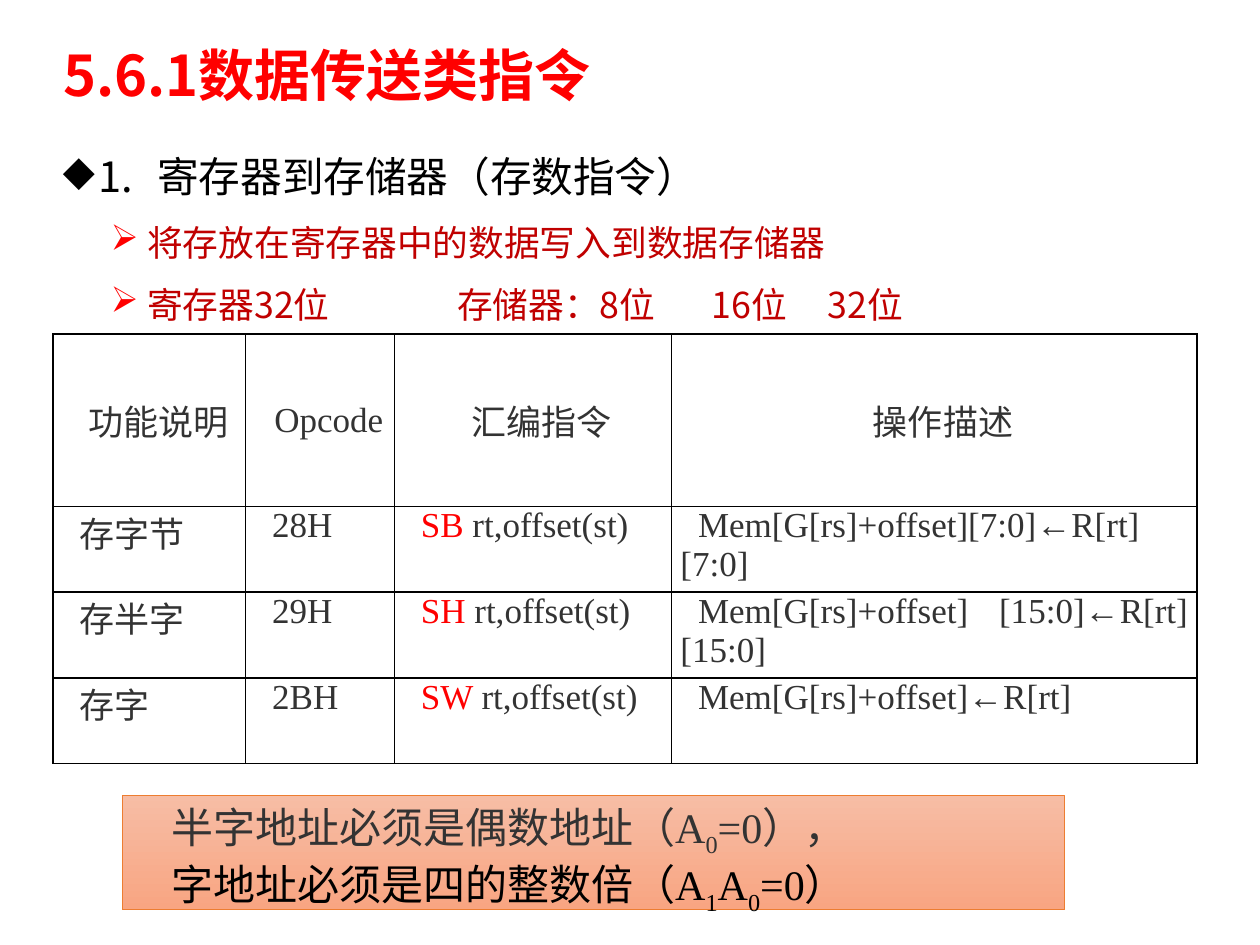
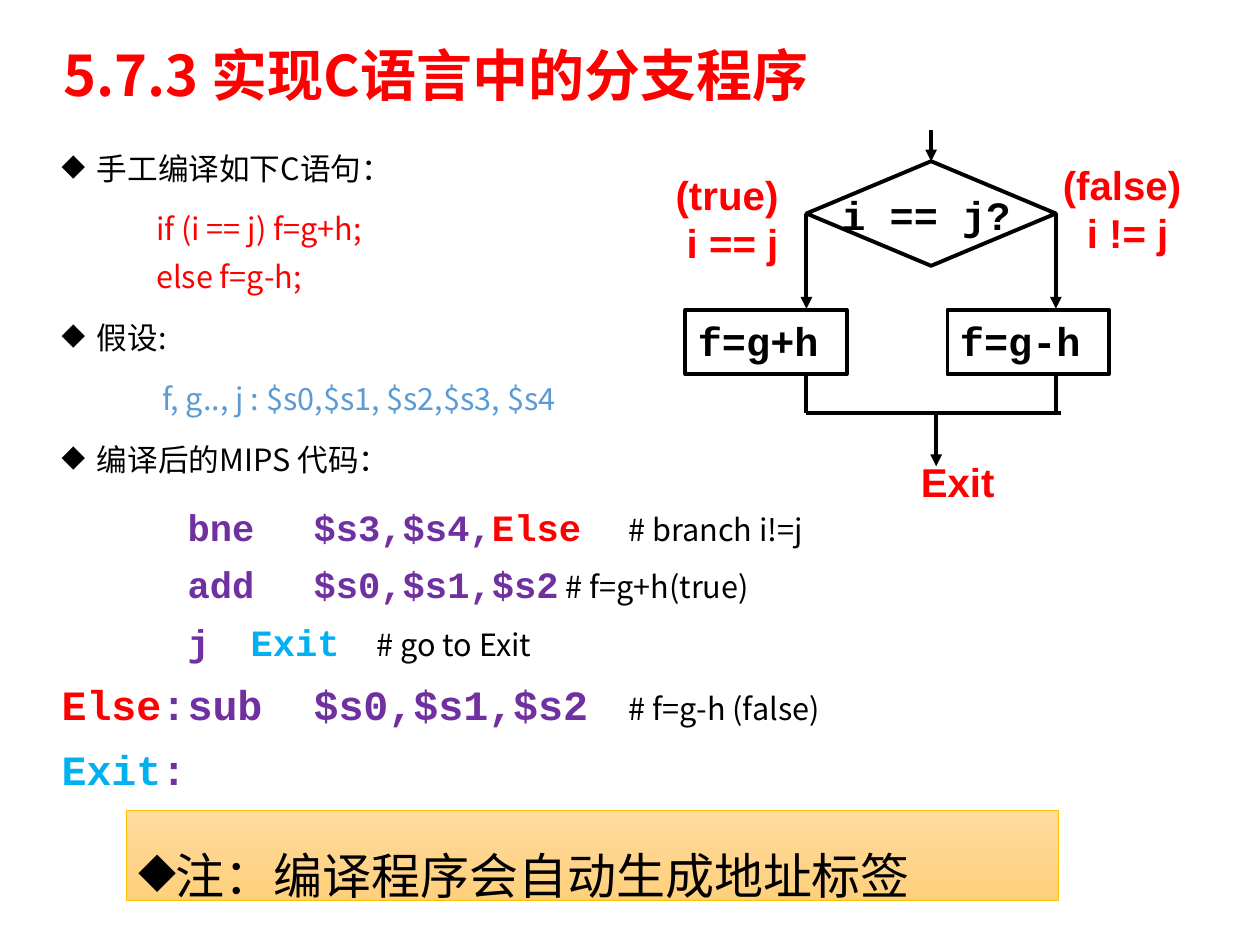
from lxml import etree
from pptx import Presentation
from pptx.dml.color import RGBColor
from pptx.enum import shapes, text
from pptx.oxml import ns
from pptx.util import Inches, Pt

SANS, MONO, SERIF, LABEL = "Noto Sans CJK SC", "Courier New", "Times New Roman", "Arial"
RED, BLACK, GRAY = "FF0000", "000000", "333333"
DARK_RED, PURPLE, CYAN, BLUE = "C00000", "7030A0", "00B0F0", "5B9BD5"
LEFT, CENTER, JUSTIFY = text.PP_ALIGN.LEFT, text.PP_ALIGN.CENTER, text.PP_ALIGN.JUSTIFY
TOP, MIDDLE = text.MSO_ANCHOR.TOP, text.MSO_ANCHOR.MIDDLE
RECT, DIAMOND = shapes.MSO_SHAPE.RECTANGLE, shapes.MSO_SHAPE.FLOWCHART_DECISION


def rgb(value):
    return RGBColor.from_string(value)


def sub(parent, tag, **attrs):
    node = etree.SubElement(parent, ns.qn(tag))
    for name, value in attrs.items():
        node.set(name, str(value))
    return node


def write(p, content, size=20, color=BLACK, font=SANS, bold=False, base=0):
    r = p.add_run()
    r.text = content
    r.font.size, r.font.bold, r.font.name = Pt(size), bold, font
    r.font.color.rgb = rgb(color)
    rPr = r._r.get_or_add_rPr()
    sub(rPr, "a:ea", typeface=SANS if font == SERIF else font)
    if base:
        rPr.set("baseline", str(base * 1000))


def paragraph(tf, runs, align=LEFT, margin=0, indent=0, spacing=1.0, before=0,
              bullet=None, bullet_color=BLACK, tabs=()):
    first = tf.paragraphs[0]
    p = tf.add_paragraph() if first.runs else first
    pPr = p._p.get_or_add_pPr()
    pPr.set("marL", str(Inches(margin)))
    pPr.set("indent", str(Inches(indent)))
    if bullet:
        sub(sub(pPr, "a:buClr"), "a:srgbClr", val=bullet_color)
        sub(pPr, "a:buChar", char=bullet)
    else:
        sub(pPr, "a:buNone")
    if tabs:
        stops = sub(pPr, "a:tabLst")
        for stop in tabs:
            sub(stops, "a:tab", pos=Inches(stop), algn="l")
    p.alignment, p.line_spacing = align, spacing
    p.space_before = Pt(before if p._p is not first._p else 0)
    for content, style in runs:
        write(p, content, **style)


def add_title(prs, content):
    s = prs.slides.add_slide(prs.slide_layouts[5])
    sp = s.shapes.title
    sp.left, sp.top, sp.width, sp.height = map(Inches, (0.4, 0.28, 8.62, 0.68))
    tf = sp.text_frame
    tf.word_wrap, tf.vertical_anchor = True, MIDDLE
    tf.auto_size = text.MSO_AUTO_SIZE.NONE
    paragraph(tf, [(content, dict(size=32, color=RED, bold=True))], spacing=0.9)
    return s


def add_text(s, box, wrap=True):
    tf = s.shapes.add_textbox(*map(Inches, box)).text_frame
    tf.word_wrap = wrap
    return tf


def add_label(s, box, lines, color=RED, font=LABEL, align=LEFT):
    tf = add_text(s, box, wrap=False)
    for line in lines:
        paragraph(tf, [(line, dict(size=23, color=color, font=font, bold=True))], align)


def add_box(s, kind, box, line, width, gradient=None):
    sp = s.shapes.add_shape(kind, *map(Inches, box))
    sp.shadow.inherit = False
    sp.line.color.rgb, sp.line.width = rgb(line), Pt(width)
    if gradient:
        sp.fill.gradient()
        sp.fill.gradient_angle = 270
        for stop, color in zip(sp.fill.gradient_stops, gradient):
            stop.color.rgb = rgb(color)
        for stop, position in zip(sp.fill.gradient_stops, (0, 1)):
            stop.position = position
    else:
        sp.fill.background()
    sp.text_frame.word_wrap, sp.text_frame.vertical_anchor = True, TOP
    return sp


def add_line(s, x1, y1, x2, y2, arrow=False):
    c = s.shapes.add_connector(shapes.MSO_CONNECTOR.STRAIGHT, *map(Inches, (x1, y1, x2, y2)))
    c.line.color.rgb, c.line.width = rgb(BLACK), Pt(2.25)
    if arrow:
        sub(c.line._get_or_add_ln(), "a:tailEnd", type="triangle")
    sub(c._element.spPr, "a:effectLst")
    return c


def fill_cell(cell, runs, align, anchor):
    cell.margin_left = cell.margin_right = Inches(0.07)
    cell.margin_top = cell.margin_bottom = 0
    cell.vertical_anchor = anchor
    tcPr = cell._tc.get_or_add_tcPr()
    for side in ("a:lnL", "a:lnR", "a:lnT", "a:lnB"):
        ln = sub(tcPr, side, w=Pt(1))
        sub(sub(ln, "a:solidFill"), "a:srgbClr", val=BLACK)
    cell.fill.background()
    paragraph(cell.text_frame, runs, align, indent=0.14)


def add_table(s, box, widths, heights, header, rows):
    table = s.shapes.add_table(len(heights), len(widths), *map(Inches, box)).table
    table.first_row = table.horz_banding = False
    for column, width in zip(table.columns, widths):
        column.width = Inches(width)
    for row, height in zip(table.rows, heights):
        row.height = Inches(height)
    plain = dict(font=SERIF, color=GRAY)
    for i, name in enumerate(header):
        fill_cell(table.cell(0, i), [(name, plain)], CENTER, MIDDLE)
    for j, (use, opcode, mnemonic, effect) in enumerate(rows, 1):
        command = [(mnemonic + " ", dict(plain, color=RED)), ("rt,offset(st)", plain)]
        cells = [[(use, plain)], [(opcode, plain)], command, [(effect, plain)]]
        for i, runs in enumerate(cells):
            fill_cell(table.cell(j, i), runs, JUSTIFY, TOP)


def store_slide(prs):
    s = add_title(prs, "5.6.1数据传送类指令")
    tf = add_text(s, (0.4, 1.03, 8.62, 1.7))
    paragraph(tf, [("1.\t寄存器到存储器（存数指令）", dict(size=23.8))], JUSTIFY,
              0.28, -0.28, 1.3, bullet="◆", tabs=[0.75])
    for line in ("将存放在寄存器中的数据写入到数据存储器",
                 "寄存器32位\t存储器：8位\t16位\t32位"):
        paragraph(tf, [(line, dict(size=20.4, color=DARK_RED))], LEFT, 0.67, -0.29, 1.3, 3.8,
                  "➢", RED, [3.13, 5.15, 6.07])
    add_table(s, (0.42, 2.65, 9.08, 3.41), (1.53, 1.18, 2.2, 4.17), (1.37, 0.68, 0.68, 0.68),
              ("功能说明", "Opcode", "汇编指令", "操作描述"),
              (("存字节", "28H", "SB", "Mem[G[rs]+offset][7:0]←R[rt][7:0]"),
               ("存半字", "29H", "SH", "Mem[G[rs]+offset] [15:0]←R[rt][15:0]"),
               ("存字", "2BH", "SW", "Mem[G[rs]+offset]←R[rt]")))
    note = add_box(s, RECT, (0.97, 6.31, 7.48, 0.91), "ED7D31", 0.5, ("F7BDA5", "F8A582"))
    for color, parts in ((GRAY, ("半字地址必须是偶数地址（A", "0", "=0），")),
                         (BLACK, ("字地址必须是四的整数倍（A", "1", "A", "0", "=0）"))):
        runs = [(part, dict(size=24, font=SERIF, color=color, base=-25 * (i % 2)))
                for i, part in enumerate(parts)]
        paragraph(note.text_frame, runs, indent=0.29)


def add_flowchart(s):
    left, right, bottom = 6.4, 8.38, 3.28
    test = add_box(s, DIAMOND, (left, 1.28, right - left, 0.83), BLACK, 2.25)
    add_label(s, (6.58, 1.46, 1.66, 0.48), ["i == j?"], BLACK, MONO)
    add_line(s, 7.39, 1.03, 7.39, 1.28, True).end_connect(test, 0)
    for x, box_left, side, code in ((left, 5.44, 1, "f=g+h"), (right, 7.52, 3, "f=g-h")):
        box = add_box(s, RECT, (box_left, 2.46, 1.28, 0.51), BLACK, 2.25)
        paragraph(box.text_frame, [(code, dict(size=23, font=MONO, bold=True))])
        add_line(s, x, 1.7, x, 2.45, True).begin_connect(test, side)
        add_line(s, x, 2.95, x, bottom)
    add_line(s, left, bottom, 8.42, bottom)
    add_line(s, 7.43, bottom, 7.43, 3.7, True)
    add_label(s, (7.21, 3.58, 0.84, 0.48), ["Exit"])
    add_label(s, (8.29, 1.22, 1.32, 0.86), ["(false) ", "i != j"], align=CENTER)
    add_label(s, (5.22, 1.3, 1.19, 0.86), ["(true) ", "i == j"], align=CENTER)


def branch_slide(prs):
    s = add_title(prs, "5.7.3 实现C语言中的分支程序")
    tf = add_text(s, (0.39, 1.05, 8.62, 5.69))
    body = dict(size=17.5)

    def heading(content):
        paragraph(tf, [(content, body)], LEFT, 0.28, -0.28, 1.3, 7.5, "◆")

    def statement(content, color, margin, before=7.5):
        paragraph(tf, [(content, dict(body, color=color))], LEFT, margin, 0, 1.3, before)

    heading("手工编译如下C语句：")
    statement("if (i == j) f=g+h;", RED, 0.75)
    statement("else f=g-h;", RED, 0.75, 0)
    heading("假设:")
    statement("f, g.., j : $s0,$s1, $s2,$s3, $s4", BLUE, 0.8)
    heading("编译后的MIPS 代码：")

    code = dict(size=21.2, font=MONO, color=PURPLE, bold=True)
    big = dict(code, size=23.8)
    listing = (
        [("\t\t", body), ("bne\t$s3,$s4,", code), ("Else", dict(code, color=RED)),
         ("\t# branch i!=j", body)],
        [("\t\t", body), ("add\t$s0,$s1,$s2", code), ("\t# f=g+h(true)", body)],
        [("\t\t", body), ("j\t", code), ("Exit", dict(code, color=CYAN)),
         ("\t# go to Exit", body)],
        [("Else", dict(big, color=RED)), (":\tsub\t$s0,$s1,$s2", big),
         ("\t# f=g-h (false)", body)],
        [("Exit", dict(big, color=CYAN)), (":", big)],
    )
    for i, runs in enumerate(listing):
        paragraph(tf, runs, spacing=1.3, before=0 if i else 7.5, tabs=[0.75, 1.5, 2.25, 5.25])
    add_flowchart(s)
    note = add_box(s, RECT, (1, 6.43, 7.4, 0.72), "FFC000", 0.5, ("FFDB9E", "FFD07C"))
    paragraph(note.text_frame, [("注：编译程序会自动生成地址标签", dict(size=28))], LEFT,
              0.28, -0.28, 1.5, bullet="◆")


def main():
    prs = Presentation()
    prs.slide_width, prs.slide_height = Inches(10), Inches(7.5)
    store_slide(prs)
    branch_slide(prs)
    prs.save("out.pptx")


if __name__ == "__main__":
    main()
